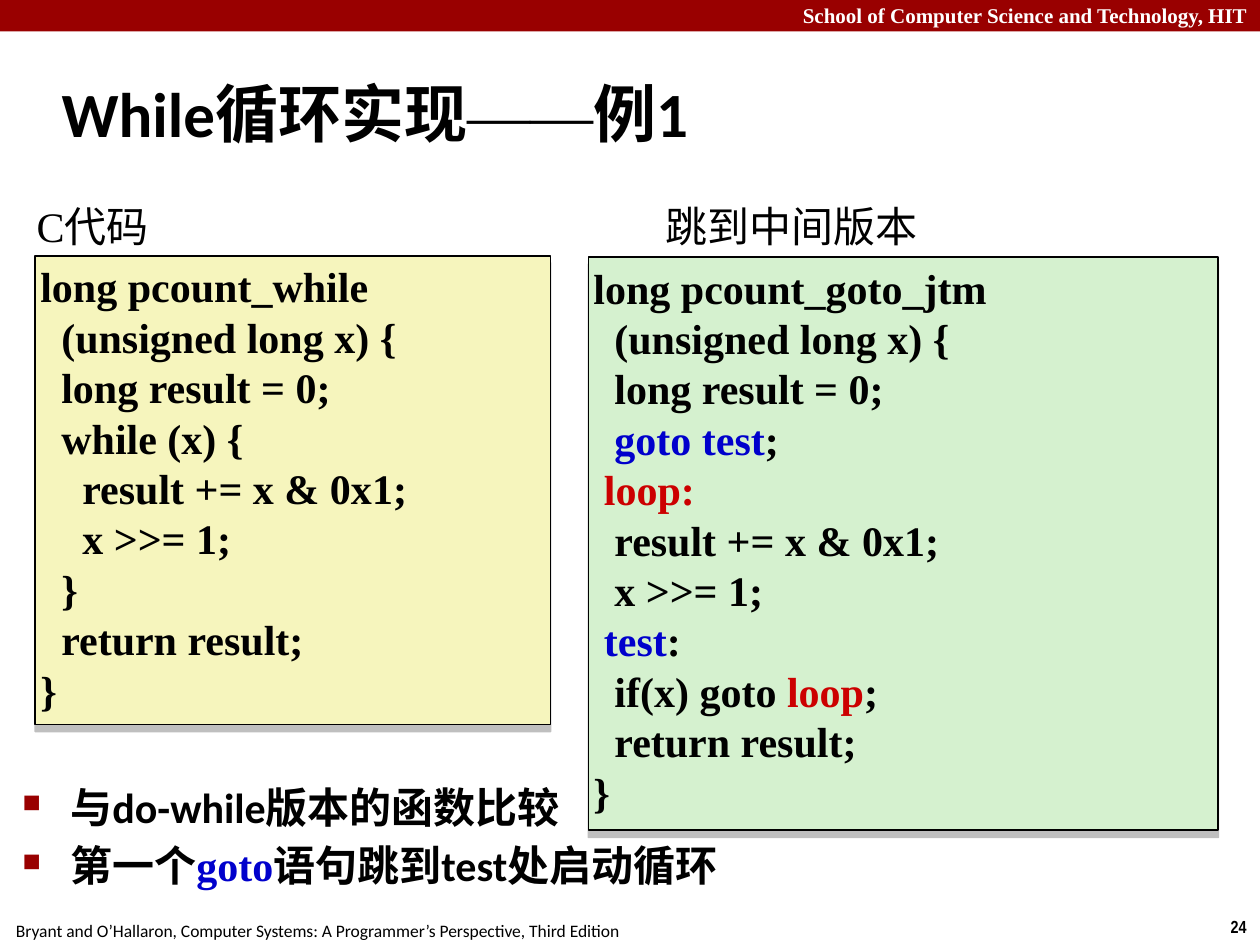
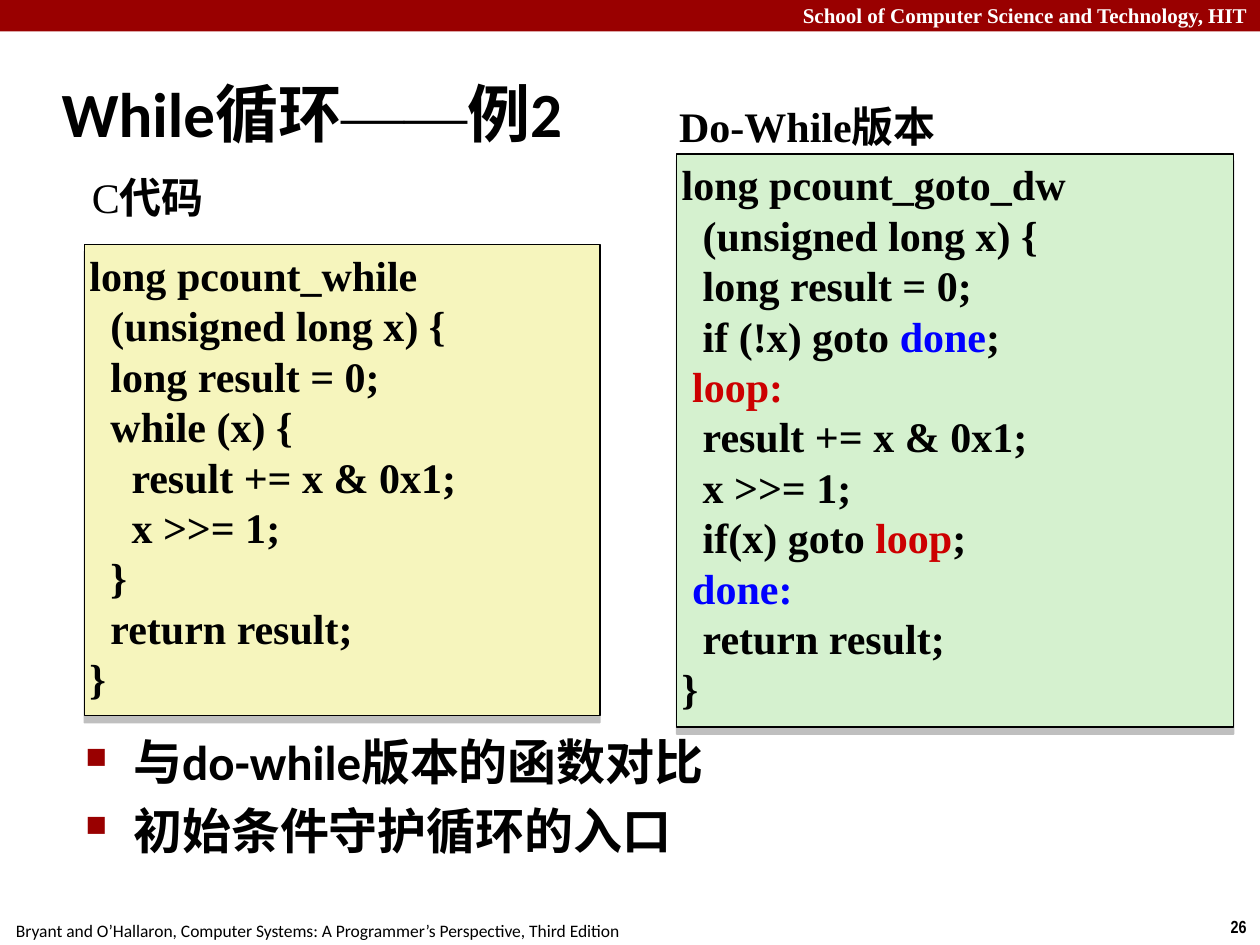
from dataclasses import dataclass

from lxml import etree
from pptx import Presentation
from pptx.dml.color import RGBColor
from pptx.enum.shapes import MSO_SHAPE
from pptx.enum.text import MSO_ANCHOR, MSO_AUTO_SIZE, PP_ALIGN
from pptx.oxml.ns import qn
from pptx.util import Inches, Pt

RECTANGLE = MSO_SHAPE.RECTANGLE
TOP, MIDDLE = MSO_ANCHOR.TOP, MSO_ANCHOR.MIDDLE
LEFT, CENTER, RIGHT = PP_ALIGN.LEFT, PP_ALIGN.CENTER, PP_ALIGN.RIGHT
GROW = MSO_AUTO_SIZE.SHAPE_TO_FIT_TEXT

BLACK = RGBColor(0x00, 0x00, 0x00)
WHITE = RGBColor(0xFF, 0xFF, 0xFF)
CRIMSON = RGBColor(0x99, 0x00, 0x00)
YELLOW = RGBColor(0xF6, 0xF5, 0xBD)
GREEN = RGBColor(0xD5, 0xF1, 0xCF)
SHADOW_GRAY = RGBColor(0x80, 0x80, 0x80)
RED = RGBColor(0xCC, 0x00, 0x00)
DARK_BLUE = RGBColor(0x00, 0x00, 0xCC)
BLUE = RGBColor(0x00, 0x00, 0xFF)

SERIF = "Times New Roman"
SANS = "Calibri"
NARROW = "Arial Narrow"
CJK = "Noto Sans CJK SC"

SCHOOL = "School of Computer Science and Technology, HIT"
BOOK = "Bryant and O’Hallaron, Computer Systems: A Programmer’s Perspective, Third Edition"


@dataclass(frozen=True)
class Box:
    left: float
    top: float
    width: float
    height: float


@dataclass(frozen=True)
class Style:
    font: str
    size: float
    bold: bool = False
    color: RGBColor = BLACK
    align: PP_ALIGN = LEFT
    hanging: float = 0
    space_before: float = 0
    east_asian: str | None = None


@dataclass(frozen=True)
class Run:
    text: str
    color: RGBColor | None = None
    font: str | None = None
    bold: bool | None = None


Line = tuple[Run, ...]


@dataclass(frozen=True)
class CodePanel:
    heading: Line
    heading_box: Box
    code: tuple[Line, ...]
    code_box: Box
    fill: RGBColor


@dataclass(frozen=True)
class Lesson:
    number: str
    topic: str
    example: str
    panels: tuple[CodePanel, ...]
    points: tuple[Line, ...]
    points_box: Box
    points_size: float


BANNER_STYLE = Style(SERIF, 12, True, WHITE, RIGHT)
NUMBER_STYLE = Style(NARROW, 10, True, align=CENTER)
BOOK_STYLE = Style(SANS, 10, align=CENTER)
TITLE_STYLE = Style(SANS, 36, True, hanging=0.13)
HEADING_STYLE = Style(SERIF, 24, hanging=0.2, space_before=8.6, east_asian=CJK)
CODE_STYLE = Style(SERIF, 24, True)
CODE_SPACE = CODE_STYLE.size / 4 / 72
PANEL_INSET = 0.04
TITLE_DASH = Run("——", font=SERIF, bold=False)


def plain(*texts: str) -> tuple[Line, ...]:
    return tuple((Run(text),) for text in texts)


SIGNATURE = plain("  (unsigned long x) {", "  long result = 0;")
LOOP_LABEL = (Run(" loop:", RED),)
COUNT_BITS = plain("  result += x & 0x1;", "  x >>= 1;")
TEST_LOOP = (Run("  if(x) goto "), Run("loop", RED), Run(";"))
FINISH = plain("  return result;", "}")

WHILE_CODE = (
    *plain("long pcount_while"),
    *SIGNATURE,
    *plain("  while (x) {", "    result += x & 0x1;", "    x >>= 1;", "  }"),
    *FINISH,
)
JUMP_TO_MIDDLE_CODE = (
    *plain("long pcount_goto_jtm"),
    *SIGNATURE,
    (Run("  "), Run("goto test", DARK_BLUE), Run(";")),
    LOOP_LABEL,
    *COUNT_BITS,
    (Run(" "), Run("test", DARK_BLUE), Run(":")),
    TEST_LOOP,
    *FINISH,
)
DO_WHILE_CODE = (
    *plain("long pcount_goto_dw"),
    *SIGNATURE,
    (Run("  if (!x) goto "), Run("done", BLUE), Run(";")),
    LOOP_LABEL,
    *COUNT_BITS,
    TEST_LOOP,
    (Run(" done:", BLUE),),
    *FINISH,
)

LESSONS = (
    Lesson(
        "24",
        "While循环实现",
        "例1",
        (
            CodePanel((Run("C代码"),), Box(0.25, 1.55, 2.86, 0.49),
                      WHILE_CODE, Box(0.28, 2.03, 4.09, 3.72), YELLOW),
            CodePanel((Run("跳到中间版本", font=CJK),), Box(5.24, 1.55, 4.42, 0.49),
                      JUMP_TO_MIDDLE_CODE, Box(4.67, 2.04, 5, 4.55), GREEN),
        ),
        (
            (Run("与do-while版本的函数比较"),),
            (Run("第一个"), Run("goto", DARK_BLUE, SERIF), Run("语句跳到test处启动循环")),
        ),
        Box(0.08, 6.15, 7.58, 0.99),
        24,
    ),
    Lesson(
        "26",
        "While循环",
        "例2",
        (
            CodePanel((Run("C"), Run("代码", bold=True)), Box(0.69, 1.32, 2.86, 0.63),
                      WHILE_CODE, Box(0.67, 1.94, 4.09, 3.74), YELLOW),
            CodePanel((Run("Do-While版本", bold=True),), Box(5.35, 0.76, 2.53, 0.49),
                      DO_WHILE_CODE, Box(5.37, 1.22, 4.42, 4.55), GREEN),
        ),
        plain("与do-while版本的函数对比", "初始条件守护循环的入口"),
        Box(0.58, 5.76, 9.17, 1.4),
        28,
    ),
)


def bounds(box: Box) -> tuple:
    return tuple(Inches(n) for n in (box.left, box.top, box.width, box.height))


def set_indent(paragraph, margin: float, first: float) -> None:
    properties = paragraph._p.get_or_add_pPr()
    properties.set("marL", str(Inches(margin)))
    properties.set("indent", str(Inches(first)))


def add_run(paragraph, run: Run, style: Style) -> None:
    piece = paragraph.add_run()
    piece.text = run.text
    font = piece.font
    font.name = run.font or style.font
    font.size = Pt(style.size)
    font.bold = style.bold if run.bold is None else run.bold
    font.color.rgb = run.color or style.color
    east_asian = etree.SubElement(piece._r.get_or_add_rPr(), qn("a:ea"))
    east_asian.set("typeface", style.east_asian or font.name)


def fill_frame(frame, lines: tuple[Line, ...], style: Style, anchor=TOP,
               inset: float | None = None, wrap: bool = True) -> None:
    frame.word_wrap = wrap
    if not wrap:
        frame.auto_size = GROW
    frame.vertical_anchor = anchor
    if inset is not None:
        frame.margin_left = frame.margin_right = Inches(inset)
        frame.margin_top = frame.margin_bottom = Inches(inset)
    for index, line in enumerate(lines):
        paragraph = frame.add_paragraph() if index else frame.paragraphs[0]
        paragraph.alignment = style.align
        paragraph.space_before = Pt(style.space_before)
        set_indent(paragraph, style.hanging, -style.hanging)
        for run in line:
            add_run(paragraph, run, style)


def add_text(slide, box: Box, lines: tuple[Line, ...], style: Style, anchor=TOP,
             inset: float | None = None, wrap: bool = True):
    frame = slide.shapes.add_textbox(*bounds(box)).text_frame
    fill_frame(frame, lines, style, anchor, inset, wrap)
    return frame


def add_rectangle(slide, box: Box, fill: RGBColor):
    rectangle = slide.shapes.add_shape(RECTANGLE, *bounds(box))
    rectangle.shadow.inherit = False
    rectangle.fill.solid()
    rectangle.fill.fore_color.rgb = fill
    rectangle.line.fill.background()
    return rectangle


def add_drop_shadow(shape) -> None:
    effects = shape._element.spPr.find(qn("a:effectLst"))
    shadow = etree.SubElement(effects, qn("a:outerShdw"), blurRad="0",
                              dist=str(Pt(4)), dir="5400000", rotWithShape="0")
    color = etree.SubElement(shadow, qn("a:srgbClr"), val=str(SHADOW_GRAY))
    etree.SubElement(color, qn("a:alpha"), val="50000")


def add_bullet(paragraph) -> None:
    properties = paragraph._p.get_or_add_pPr()
    color = etree.SubElement(properties, qn("a:buClr"))
    etree.SubElement(color, qn("a:srgbClr"), val=str(CRIMSON))
    etree.SubElement(properties, qn("a:buSzPct"), val="60000")
    etree.SubElement(properties, qn("a:buChar"), char="■")


def indent_code(paragraph) -> None:
    text = paragraph.text
    depth = len(text) - len(text.lstrip())
    set_indent(paragraph, depth * CODE_SPACE, 0)
    first = paragraph.runs[0]
    first.text = first.text.lstrip()
    if not first.text:
        paragraph._p.remove(first._r)


def add_code_panel(slide, panel: CodePanel) -> None:
    add_text(slide, panel.heading_box, (panel.heading,), HEADING_STYLE, inset=PANEL_INSET)
    listing = add_rectangle(slide, panel.code_box, panel.fill)
    listing.line.color.rgb = BLACK
    listing.line.width = Pt(1)
    add_drop_shadow(listing)
    fill_frame(listing.text_frame, panel.code, CODE_STYLE, inset=PANEL_INSET)
    for paragraph in listing.text_frame.paragraphs:
        indent_code(paragraph)


def add_shared_parts(slide, number: str) -> None:
    add_rectangle(slide, Box(0, 0, 10, 0.25), CRIMSON)
    add_text(slide, Box(0, -0.03, 10, 0.3), plain(SCHOOL), BANNER_STYLE)
    add_text(slide, Box(9.66, 7.22, 0.34, 0.27), plain(number), NUMBER_STYLE, wrap=False)
    add_text(slide, Box(-0.02, 7.25, 5.08, 0.27), plain(BOOK), BOOK_STYLE, wrap=False)


def add_lesson(presentation, lesson: Lesson) -> None:
    slide = presentation.slides.add_slide(presentation.slide_layouts[6])
    add_shared_parts(slide, lesson.number)
    for panel in lesson.panels:
        add_code_panel(slide, panel)
    title = (Run(lesson.topic), TITLE_DASH, Run(lesson.example))
    add_text(slide, Box(0.39, 0.48, 9.61, 0.83), (title,), TITLE_STYLE, MIDDLE)
    points_style = Style(SANS, lesson.points_size, True, hanging=0.38,
                         space_before=lesson.points_size * 0.2)
    points = add_text(slide, lesson.points_box, lesson.points, points_style)
    for paragraph in points.paragraphs:
        add_bullet(paragraph)


def main() -> None:
    presentation = Presentation()
    presentation.slide_width = Inches(10)
    presentation.slide_height = Inches(7.5)
    for lesson in LESSONS:
        add_lesson(presentation, lesson)
    presentation.save("out.pptx")


if __name__ == "__main__":
    main()
